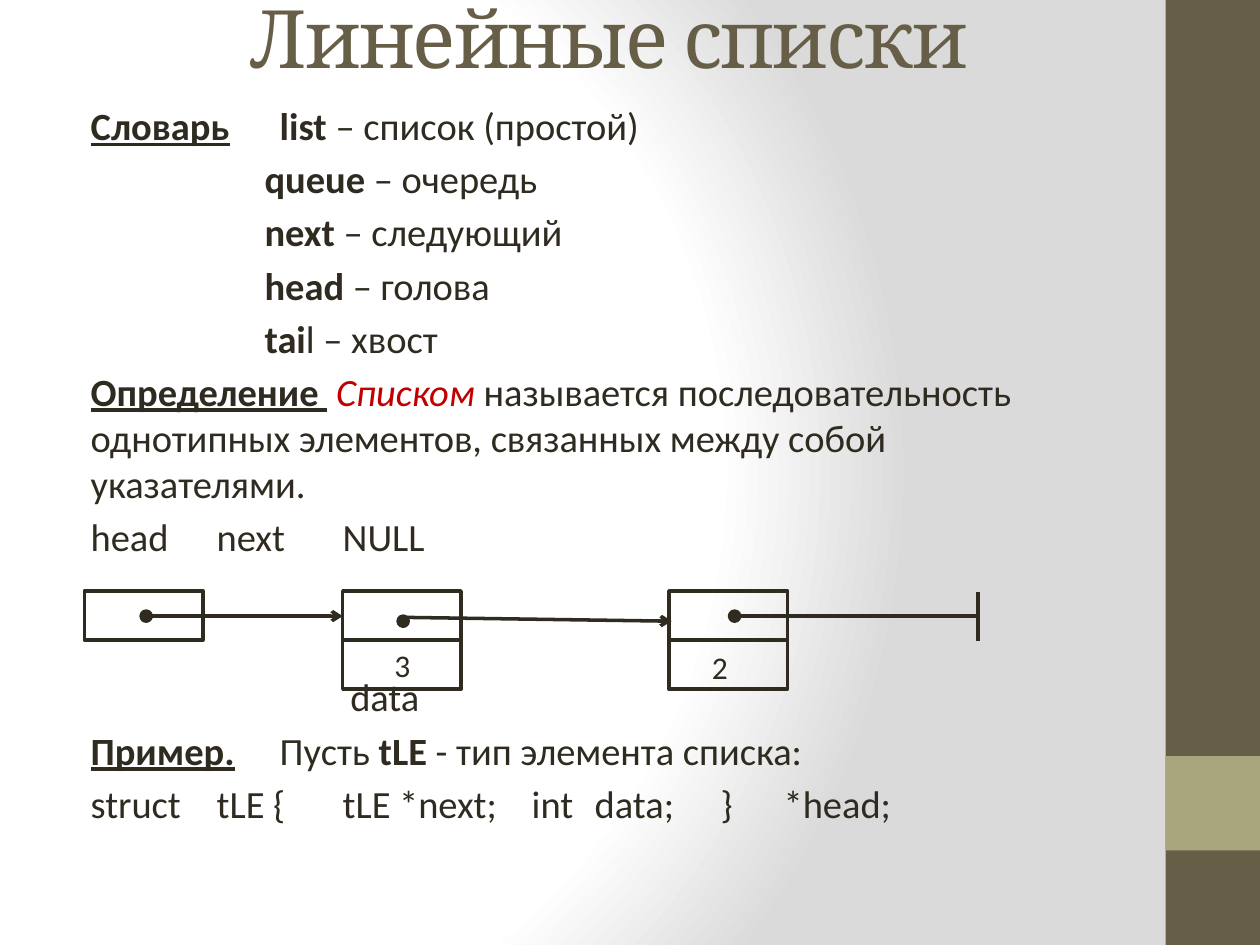
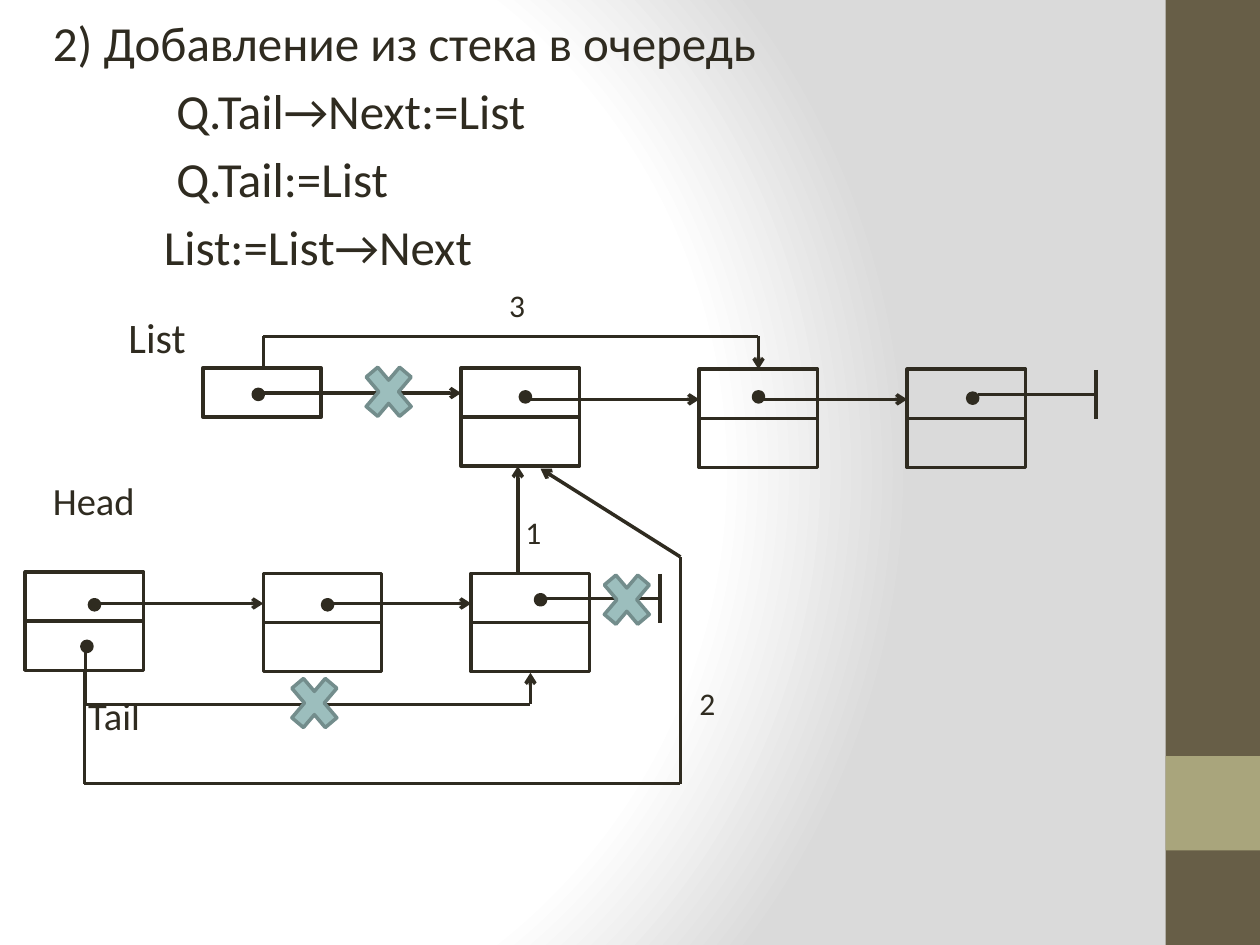
from itertools import pairwise
from lxml import etree
from pptx import Presentation
from pptx import util as u
from pptx.dml.color import RGBColor
from pptx.enum import shapes, text
from pptx.oxml import parse_xml
from pptx.oxml.ns import nsdecls, qn

INK = RGBColor(0x2F, 0x2B, 0x20)
BROWN = RGBColor(0x67, 0x5E, 0x47)
OLIVE = RGBColor(0xA9, 0xA5, 0x7C)
RED = RGBColor(0xC0, 0x00, 0x00)
TEAL = RGBColor(0x9C, 0xBE, 0xBD)
TEAL_EDGE = RGBColor(0x73, 0x8D, 0x8C)
BODY_FONT, TITLE_FONT = "Calibri", "Cambria"
CELL_W, CELL_H, DOT = 0.94, 0.39, 0.08
CROSS_W, CROSS_H = 0.51, 0.6
TERM_INDENT = 1.38

# Paragraph: (indent, space before in points, size, tab stops, runs)
# Run: (text, style letters: b bold, u underline, i italic, r red)
TERMS = [("queue", " – очередь"), ("next", " – следующий"),
         ("head", " – голова"), ("tai", "l – хвост")]
LISTS = {
    "title": "Линейные списки",
    "body_at": (0.72, 0.81, 8.01, 6.4),
    "body": [
        (0, 0, 22, [TERM_INDENT], [("Словарь", "bu"), ("\t", ""), ("list ", "b"),
                                   ("– список (простой)", "")]),
        *[(TERM_INDENT, 4, 22, [], [(term, "b"), (meaning, "")])
          for term, meaning in TERMS],
        (0, 4, 22, [], [("Определение ", "bu"), (" Списком ", "ir"),
                        ("называется последовательность однотипных элементов, "
                         "связанных между собой указателями.", "")]),
        (0, 4, 22, [2.2, 6.67], [("head\tnext\tNULL", "")]),
        (2.06, 65, 22, [], [("data", "")]),
        (0, 4, 22, [1.35], [("Пример.", "bu"), ("\tПусть ", ""), ("tLE ", "b"),
                            ("- тип элемента списка:", "")]),
        (0, 4, 22, [0.94, 1.88, 3.45, 3.98, 4.97, 5.21],
         [("struct\ttLE {\ttLE *next;\tint\tdata;\t}\t*head;", "")]),
    ],
    # Nodes: left, top, number of stacked cells
    "nodes": [(0.67, 4.69, 1), (2.72, 4.69, 2), (5.31, 4.69, 2)],
    "arrows": [[(1.14, 4.89), (2.72, 4.89)], [(3.23, 4.9), (5.33, 4.93)]],
    "null_ends": [((5.87, 4.89), 7.76)],
    "crosses": [],
    "dots": [(1.16, 4.89), (3.2, 4.93), (5.83, 4.89)],
    "numbers": [("3", 3.13, 5.13), ("2", 5.65, 5.14)],
}
QUEUE = {
    "title": None,
    "body_at": (0.42, 0.1, 8.34, 6.8),
    "body": [
        (0, 0, 28, [], [("2) Добавление из стека в очередь", "")]),
        (0.98, 5.3, 28, [], [("Q.Tail→Next:=List", "")]),
        (0.98, 5.3, 28, [], [("Q.Tail:=List", "")]),
        (0.88, 5.3, 28, [], [("List:=List→Next", "")]),
        (0.6, 20.5, 24, [], [("List", "")]),
        (0, 66, 22, [], [("Head", "")]),
        (0.28, 96, 22, [], [("Tail", "")]),
    ],
    "nodes": [(1.61, 2.92, 1), (3.66, 2.92, 2), (5.55, 2.93, 2), (7.2, 2.93, 2),
              (0.2, 4.54, 2), (2.09, 4.55, 2), (3.74, 4.55, 2)],
    "arrows": [
        [(2.09, 3.12), (3.66, 3.12)],
        [(4.21, 3.17), (5.55, 3.17)],
        [(6.02, 3.17), (7.2, 3.17)],
        [(0.75, 4.79), (2.09, 4.79)],
        [(2.56, 4.79), (3.74, 4.79)],
        [(4.11, 4.54), (4.11, 3.7)],
        [(2.09, 2.92), (2.09, 2.67), (6.02, 2.67), (6.02, 2.93)],
        [(0.68, 5.14), (0.68, 5.59), (4.21, 5.59), (4.21, 5.34)],
        [(0.67, 5.33), (0.67, 6.22), (5.4, 6.22), (5.4, 4.42), (4.29, 3.72)],
    ],
    "null_ends": [((7.76, 3.13), 8.7), ((4.29, 4.75), 5.24)],
    "crosses": [(2.83, 2.81), (4.72, 4.46), (2.24, 5.28)],
    "dots": [(0.75, 4.8), (2.6, 4.8), (4.29, 4.76), (2.05, 3.13), (4.17, 3.15),
             (6.02, 3.15), (7.72, 3.16), (0.69, 5.13)],
    "numbers": [("3", 4.04, 2.27), ("1", 4.17, 4.07), ("2", 5.55, 5.43)],
}

BACKGROUND = f"""<p:bg {nsdecls('p', 'a')}><p:bgPr><a:gradFill rotWithShape="1"><a:gsLst>
<a:gs pos="0"><a:srgbClr val="FFFFFF"/></a:gs><a:gs pos="75000"><a:srgbClr val="FFFFFF"/></a:gs>
<a:gs pos="100000"><a:srgbClr val="DADADA"/></a:gs></a:gsLst>
<a:path path="circle"><a:fillToRect l="20000" t="50000" r="100000" b="50000"/></a:path>
</a:gradFill><a:effectLst/></p:bgPr></p:bg>"""


def add_shape(slide, kind, at, fill=None, line=None):
    shape = slide.shapes.add_shape(kind, *map(u.Inches, at))
    shape.shadow.inherit = False
    if fill is None:
        shape.fill.background()
    else:
        shape.fill.solid()
        shape.fill.fore_color.rgb = fill
    if line is None:
        shape.line.fill.background()
    else:
        shape.line.color.rgb = line
        shape.line.width = u.Pt(2)


def add_route(slide, points, arrow=True):
    """Straight connectors through the points, with a head on the last one."""
    for start, end in pairwise(points):
        segment = slide.shapes.add_connector(
            shapes.MSO_CONNECTOR.STRAIGHT, *map(u.Inches, (*start, *end)))
        segment.line.color.rgb = INK
        segment.line.width = u.Pt(2)
        etree.SubElement(segment._element.spPr, qn("a:effectLst"))
    if arrow:
        etree.SubElement(segment.line._get_or_add_ln(), qn("a:tailEnd"), type="arrow")


def add_frame(slide, at):
    frame = slide.shapes.add_textbox(*map(u.Inches, at)).text_frame
    frame.word_wrap = True
    frame.margin_left = frame.margin_right = frame.margin_top = frame.margin_bottom = 0
    return frame


def add_run(paragraph, words, size, style="", font=BODY_FONT, color=INK):
    run = paragraph.add_run()
    run.text = words
    run.font.name, run.font.size = font, u.Pt(size)
    run.font.bold, run.font.italic = "b" in style, "i" in style
    run.font.underline = "u" in style
    run.font.color.rgb = RED if "r" in style else color
    return run


def add_title(slide, words):
    frame = add_frame(slide, (0.67, -0.11, 8.33, 0.79))
    frame.vertical_anchor = text.MSO_ANCHOR.MIDDLE
    heading = frame.paragraphs[0]
    heading.alignment = text.PP_ALIGN.CENTER
    run = add_run(heading, words, 46, font=TITLE_FONT, color=BROWN)
    run.font._element.set("spc", "-100")


def add_body(slide, at, paragraphs):
    frame = add_frame(slide, at)
    for number, (indent, before, size, tabs, runs) in enumerate(paragraphs):
        paragraph = frame.add_paragraph() if number else frame.paragraphs[0]
        paragraph.space_before = u.Pt(before)
        props = paragraph._p.get_or_add_pPr()
        props.set("marL", str(u.Inches(indent)))
        props.set("indent", "0")
        if tabs:
            stops = etree.SubElement(props, qn("a:tabLst"))
            for tab in tabs:
                etree.SubElement(stops, qn("a:tab"), pos=str(u.Inches(tab)), algn="l")
        for words, style in runs:
            add_run(paragraph, words, size, style)


def add_diagram(slide, content):
    kinds = shapes.MSO_SHAPE
    for left, top, cells in content["nodes"]:
        for row in range(cells):
            add_shape(slide, kinds.RECTANGLE,
                      (left, top + row * CELL_H, CELL_W, CELL_H), line=INK)
    for points in content["arrows"]:
        add_route(slide, points)
    for (x, y), end in content["null_ends"]:
        add_route(slide, [(x, y), (end, y)], arrow=False)
        add_route(slide, [(end, y - CELL_H / 2), (end, y + CELL_H / 2)], arrow=False)
    for left, top in content["crosses"]:
        add_shape(slide, kinds.MATH_MULTIPLY, (left, top, CROSS_W, CROSS_H), TEAL, TEAL_EDGE)
    for x, y in content["dots"]:
        add_shape(slide, kinds.OVAL, (x - DOT / 2, y - DOT / 2, DOT, DOT), INK, INK)
    for digit, left, top in content["numbers"]:
        add_run(add_frame(slide, (left, top, 0.25, 0.3)).paragraphs[0], digit, 18)


deck = Presentation()
deck.slide_width, deck.slide_height = u.Inches(10), u.Inches(7.5)
for content in (LISTS, QUEUE):
    slide = deck.slides.add_slide(deck.slide_layouts[6])
    # Shared background and side band
    slide._element.cSld.insert(0, parse_xml(BACKGROUND))
    add_shape(slide, shapes.MSO_SHAPE.RECTANGLE, (9.25, 0, 0.75, 7.5), BROWN)
    add_shape(slide, shapes.MSO_SHAPE.RECTANGLE, (9.25, 6, 0.75, 0.75), OLIVE)
    # Text, then the diagram over it
    add_body(slide, content["body_at"], content["body"])
    if content["title"]:
        add_title(slide, content["title"])
    add_diagram(slide, content)
deck.save("out.pptx")
